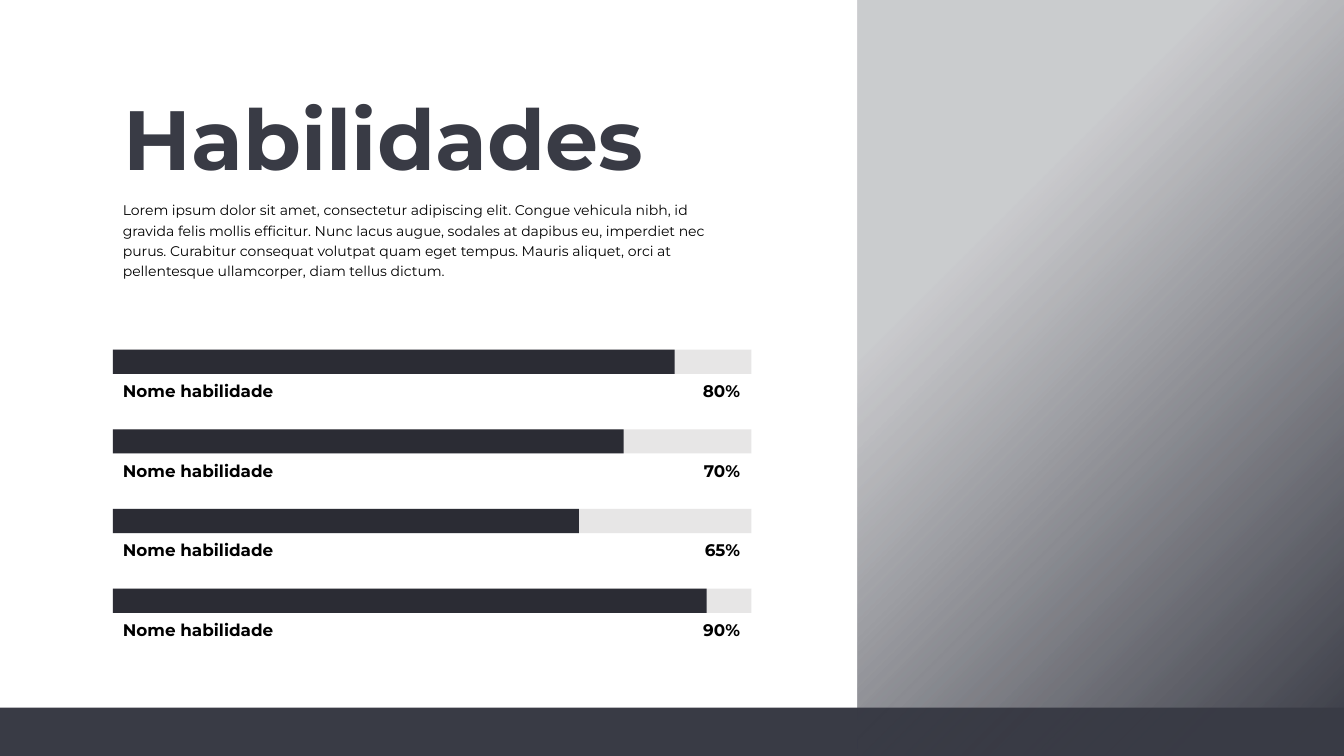
from lxml import etree
from pptx import Presentation
from pptx.dml.color import RGBColor
from pptx.enum.shapes import MSO_SHAPE
from pptx.enum.text import MSO_ANCHOR, PP_ALIGN
from pptx.oxml.ns import qn
from pptx.util import Inches, Pt

RECT = MSO_SHAPE.RECTANGLE
TOP = MSO_ANCHOR.TOP
LEFT, RIGHT = PP_ALIGN.LEFT, PP_ALIGN.RIGHT

WIDE, HIGH = Inches(13.33), Inches(7.5)
FONT = "Montserrat"
COLORS = {
    "slate": "393B45",
    "dark": "2B2C34",
    "track": "E7E6E6",
    "black": "000000",
}

# Layout, in percent of the slide's width (x) and height (y)
EDGE = 8.4
SPAN = 47.5
SPLIT = 63.8
FOOT = 93.6
FIRST, PITCH = 46.25, 10.54
THICK, DROP = 3.2, 3.45

NAME = "Nome habilidade"
# Shown value and filled share of the track
SKILLS = [("80%", 0.88), ("70%", 0.8), ("65%", 0.73), ("90%", 0.93)]

INTRO = (
    "Lorem ipsum dolor sit amet, consectetur adipiscing elit. Congue vehicula "
    "nibh, id gravida felis mollis efficitur. Nunc lacus augue, sodales at "
    "dapibus eu, imperdiet nec purus. Curabitur consequat volutpat quam eget "
    "tempus. Mauris aliquet, orci at pellentesque ullamcorper, diam tellus dictum."
)


def tint(name):
    return RGBColor.from_string(COLORS[name])


def frame(x, y, w, h):
    return [round(part * side / 100)
            for part, side in zip((x, y, w, h), (WIDE, HIGH, WIDE, HIGH))]


def add_bar(slide, box, color):
    bar = slide.shapes.add_shape(RECT, *frame(*box))
    bar.shadow.inherit = False
    bar.line.fill.background()
    bar.fill.solid()
    bar.fill.fore_color.rgb = tint(color)
    return bar


def add_fade(slide, box, color):
    """Diagonal fade from a pale, see-through tone to the full color."""
    panel = add_bar(slide, box, color)
    panel.fill.gradient()
    panel.fill.gradient_angle = 315
    for stop, place in zip(panel.fill.gradient_stops, (0.29, 1)):
        stop.color.rgb = tint(color)
        stop.position = place
    pale = panel.element.xpath(".//a:gs/a:srgbClr")[0]
    etree.SubElement(pale, qn("a:alpha")).set("val", "26000")


def add_text(slide, box, text, size, color="black", bold=False, align=LEFT,
             space=None):
    body = slide.shapes.add_textbox(*frame(*box)).text_frame
    body.word_wrap = True
    body.vertical_anchor = TOP
    para = body.paragraphs[0]
    para.text = text
    para.alignment = align
    para.line_spacing = space
    para.font.name = FONT
    para.font.size = Pt(size)
    para.font.bold = bold
    para.font.color.rgb = tint(color)


def add_skill(slide, y, value, share):
    add_bar(slide, (EDGE, y, SPAN, THICK), "track")
    add_bar(slide, (EDGE, y, SPAN * share, THICK), "dark")
    add_text(slide, (EDGE, y + DROP, 16.65, 4), NAME, 12, bold=True)
    add_text(slide, (50.8, y + DROP, 5, 4), value, 12, bold=True, align=RIGHT)


def main():
    deck = Presentation()
    deck.slide_width, deck.slide_height = WIDE, HIGH
    slide = deck.slides.add_slide(deck.slide_layouts[6])

    # Footer band and side panel
    add_bar(slide, (0, FOOT, 100, 100 - FOOT), "slate")
    add_fade(slide, (SPLIT, 0, 100 - SPLIT, 100), "slate")

    # Heading and introduction
    add_text(slide, (8.45, 11.1, 58.1, 14.4), "Habilidades", 60, "slate",
             bold=True, space=Pt(70))
    add_text(slide, (EDGE, 25.6, SPAN, 14), INTRO, 10, space=1.2)

    # Skill bars
    for row, (value, share) in enumerate(SKILLS):
        add_skill(slide, FIRST + row * PITCH, value, share)

    deck.save("out.pptx")


if __name__ == "__main__":
    main()
